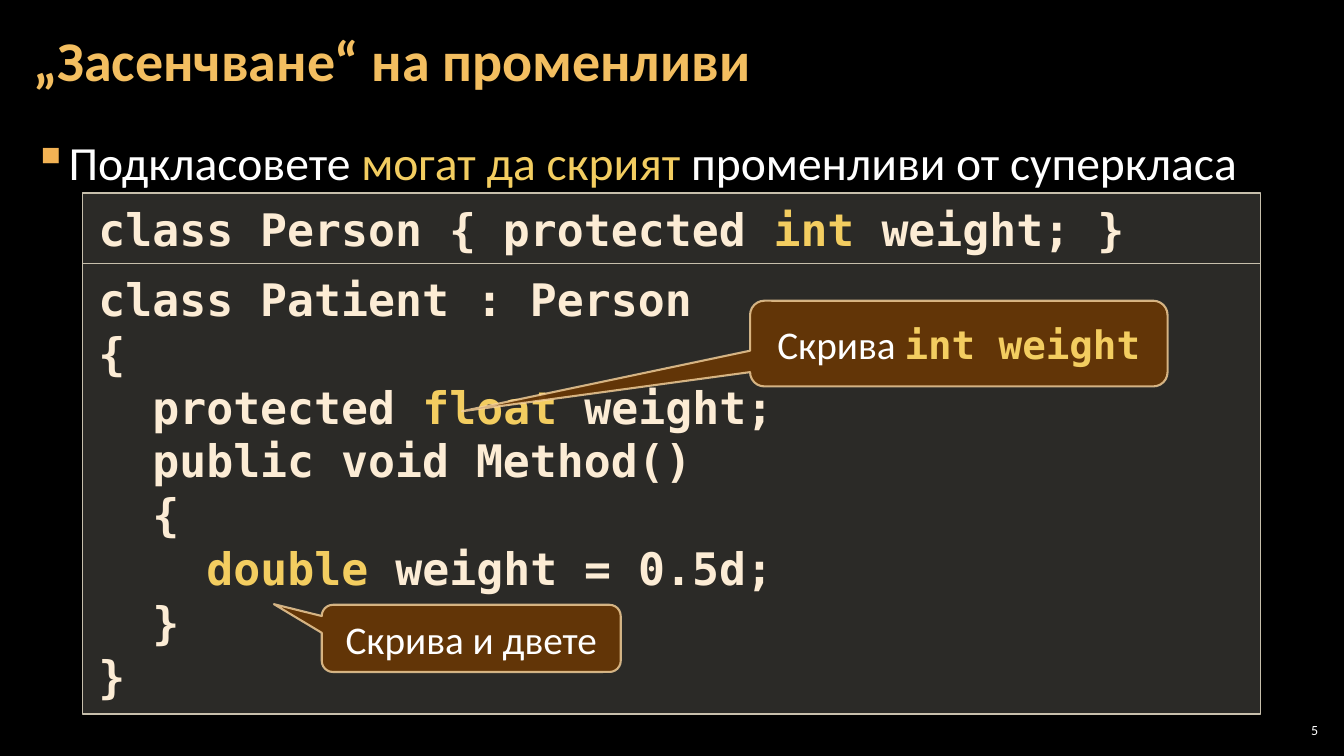
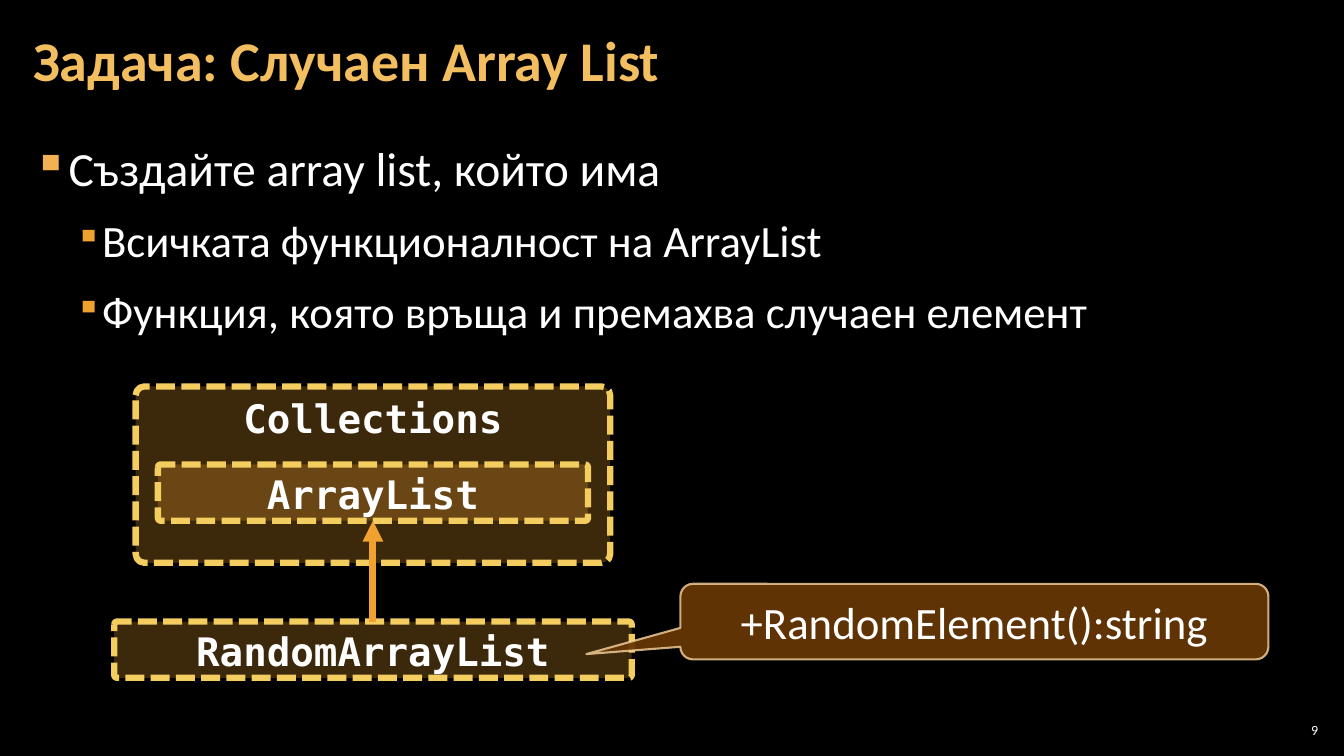
from lxml import etree
from pptx import Presentation
from pptx.dml.color import RGBColor
from pptx.enum.dml import MSO_LINE_DASH_STYLE as DASH
from pptx.enum.shapes import MSO_CONNECTOR as CONN, MSO_SHAPE as SHAPE
from pptx.enum.text import MSO_ANCHOR as ANCHOR, PP_ALIGN as ALIGN
from pptx.oxml.ns import qn
from pptx.util import Inches, Pt

# Grid: 160 columns by 90 rows of square cells
COLS, ROWS = 160, 90
CELL = Inches(7.5) / ROWS

SANS, MONO = "Calibri", "DejaVu Sans Mono"
BLACK, WHITE, CREAM = "000000", "FFFFFF", "FCECD5"
GOLD, YELLOW, ORANGE = "F3BE60", "F3CD60", "F0A22E"
BULLET, SAND, SAND_LINE = "F2B254", "D9D5C7", "C7BFAC"
BROWN, PEACH = "663606", "F8D49E"

# Bullet levels: size, left margin, hanging indent (inches), colour, bullet size
LEVELS = [(34, 0.33, 0.33, BULLET, 100), (32, 0.67, 0.25, ORANGE, 80)]


def rgb(color):
    return RGBColor.from_string(color)


def grid(*cells):
    return [round(c * CELL) for c in cells]


def paint(fill, color, alpha=100):
    """Solid colour, with opacity in percent."""
    fill.solid()
    fill.fore_color.rgb = rgb(color)
    if alpha < 100:
        # The colour node is the only child of the solid fill
        node = fill._xPr.find(qn("a:solidFill"))[0]
        etree.SubElement(node, qn("a:alpha"), val=str(alpha * 1000))


def add_runs(p, text, size, font=SANS, color=WHITE, bold=False, accent=None):
    """Parts between bars are highlighted; accent is their own font."""
    for i, part in enumerate(text.split("|")):
        if not part:
            continue
        marked = i % 2 == 1
        r = p.add_run()
        r.text = part
        r.font.size = Pt(size)
        r.font.name = accent if marked and accent else font
        r.font.bold = bold or bool(marked and accent)
        r.font.color.rgb = rgb(YELLOW if marked else color)


def set_frame(tf, inset_x, inset_y, anchor=ANCHOR.TOP):
    tf.word_wrap = True
    tf.vertical_anchor = anchor
    tf.margin_left = tf.margin_right = Inches(inset_x)
    tf.margin_top = tf.margin_bottom = Inches(inset_y)


def add_text(slide, box, inset=(0.12, 0.04), anchor=ANCHOR.TOP):
    tf = slide.shapes.add_textbox(*grid(*box)).text_frame
    set_frame(tf, *inset, anchor)
    return tf


def add_panel(slide, kind, box, fill, line, width, alpha=100, line_alpha=100):
    s = slide.shapes.add_shape(kind, *grid(*box))
    s.shadow.inherit = False
    paint(s.fill, fill, alpha)
    paint(s.line.fill, line, line_alpha)
    s.line.width = Pt(width)
    return s


def add_mono_lines(tf, lines, size, color, align):
    for i, line in enumerate(lines):
        p = tf.paragraphs[0] if i == 0 else tf.add_paragraph()
        p.alignment = align
        p.line_spacing = Pt(size * 1.2)
        add_runs(p, line, size, MONO, color, bold=True)


def add_base(prs, title, number):
    """Background, title and slide number."""
    slide = prs.slides.add_slide(prs.slide_layouts[6])
    paint(slide.background.fill, BLACK)
    p = add_text(slide, (2.5, 0.5, 155, 14.5), anchor=ANCHOR.MIDDLE).paragraphs[0]
    p.line_spacing = Pt(40)
    add_runs(p, title, 40, color=GOLD, bold=True)
    tf = add_text(slide, (151.8, 85.7, 5.6, 2.5), (0.04, 0.04), ANCHOR.MIDDLE)
    p = tf.paragraphs[0]
    p.alignment = ALIGN.RIGHT
    add_runs(p, str(number), 10)
    return slide


def add_bullets(slide, box, items, spacing=1.0):
    tf = add_text(slide, box)
    for i, (level, text) in enumerate(items):
        size, left, hang, color, scale = LEVELS[level]
        p = tf.paragraphs[0] if i == 0 else tf.add_paragraph()
        pPr = p._p.get_or_add_pPr()
        pPr.set("marL", str(Inches(left)))
        pPr.set("indent", str(-Inches(hang)))
        clr = etree.SubElement(pPr, qn("a:buClr"))
        etree.SubElement(clr, qn("a:srgbClr"), val=color)
        etree.SubElement(pPr, qn("a:buSzPct"), val=str(scale * 1000))
        etree.SubElement(pPr, qn("a:buChar"), char="▪")
        p.level = level
        p.line_spacing = spacing
        p.space_before = Pt(6 if i else 0)
        p.space_after = Pt(6)
        add_runs(p, text, size)


def add_code(slide, box, listings, first_height):
    """Two code panels stacked in the box."""
    x, y, w, h = box
    for lines, height in zip(listings, (first_height, h - first_height)):
        s = add_panel(slide, SHAPE.RECTANGLE, (x, y, w, height), SAND, SAND_LINE, 1, alpha=20)
        set_frame(s.text_frame, 0.16, 0.08)
        add_mono_lines(s.text_frame, lines, 32, CREAM, ALIGN.LEFT)
        y += height


def add_callout(slide, box, tip, text, size=28):
    """Tip is given as shares of the box, measured from its centre."""
    s = add_panel(slide, SHAPE.ROUNDED_RECTANGULAR_CALLOUT, box, BROWN, PEACH, 1.5, 95, 80)
    s.adjustments[0], s.adjustments[1] = tip
    tf = s.text_frame
    set_frame(tf, 0.1, 0.05, ANCHOR.MIDDLE)
    tf.paragraphs[0].alignment = ALIGN.CENTER
    add_runs(tf.paragraphs[0], text, size, accent=MONO)


def add_class_diagram(slide, box):
    """Nested class boxes on top, the derived class at the bottom."""
    x, y, w, h = box
    mid, bar = x + w / 2, 6.7
    inner_top, derived_top = y + 9.3, y + h - bar
    for name, top, width, height in [
        ("Collections", y, 56.5, 21),
        ("ArrayList", inner_top, 51.2, bar),
        ("RandomArrayList", derived_top, w, bar),
    ]:
        s = add_panel(slide, SHAPE.ROUNDED_RECTANGLE, (mid - width / 2, top, width, height),
                      ORANGE, YELLOW, 4.5, alpha=25)
        s.line.dash_style = DASH.SQUARE_DOT
        s.adjustments[0] = 0.05
        set_frame(s.text_frame, 0.1, 0.05)
        add_mono_lines(s.text_frame, [name], 28, WHITE, ALIGN.CENTER)

    # Inheritance arrow
    c = slide.shapes.add_connector(
        CONN.STRAIGHT, *grid(mid, derived_top, mid, inner_top + bar))
    paint(c.line.fill, ORANGE)
    c.line.width = Pt(5)
    etree.SubElement(c.line._get_or_add_ln(), qn("a:tailEnd"), type="triangle")
    etree.SubElement(c._element.spPr, qn("a:effectLst"))


def build_shadowing(prs):
    slide = add_base(prs, "„Засенчване“ на променливи", 5)
    add_bullets(slide, (2.5, 15, 155, 73),
                [(0, "Подкласовете |могат да скрият |променливи от суперкласа")], 1.05)
    person = ["class Person { protected |int| weight; }"]
    patient = [
        "class Patient : Person",
        "{",
        "  protected |float| weight;",
        "  public void Method()",
        "  {",
        "    |double| weight = 0.5d;",
        "  }",
        "}",
    ]
    add_code(slide, (9.8, 23, 140.3, 62), (person, patient), 8.4)
    add_callout(slide, (89.3, 35.8, 49.7, 10.2), (-1.19, 0.79), "Скрива |int weight|")
    add_callout(slide, (38.3, 72, 35.6, 8), (-0.66, -0.51), "Скрива и двете")


def build_random_list(prs):
    slide = add_base(prs, "Задача: Случаен Array List", 9)
    add_bullets(slide, (2.5, 16.1, 155, 72), [
        (0, "Създайте array list, който има"),
        (1, "Всичката функционалност на ArrayList"),
        (1, "Функция, която връща и премахва случаен елемент"),
    ])
    add_class_diagram(slide, (13.6, 46, 61.6, 34.7))
    add_callout(slide, (81, 69.5, 70, 9), (-0.66, 0.43), "+RandomElement():string", 32)


def main():
    prs = Presentation()
    prs.slide_width, prs.slide_height = grid(COLS, ROWS)
    build_shadowing(prs)
    build_random_list(prs)
    prs.save("out.pptx")


if __name__ == "__main__":
    main()
